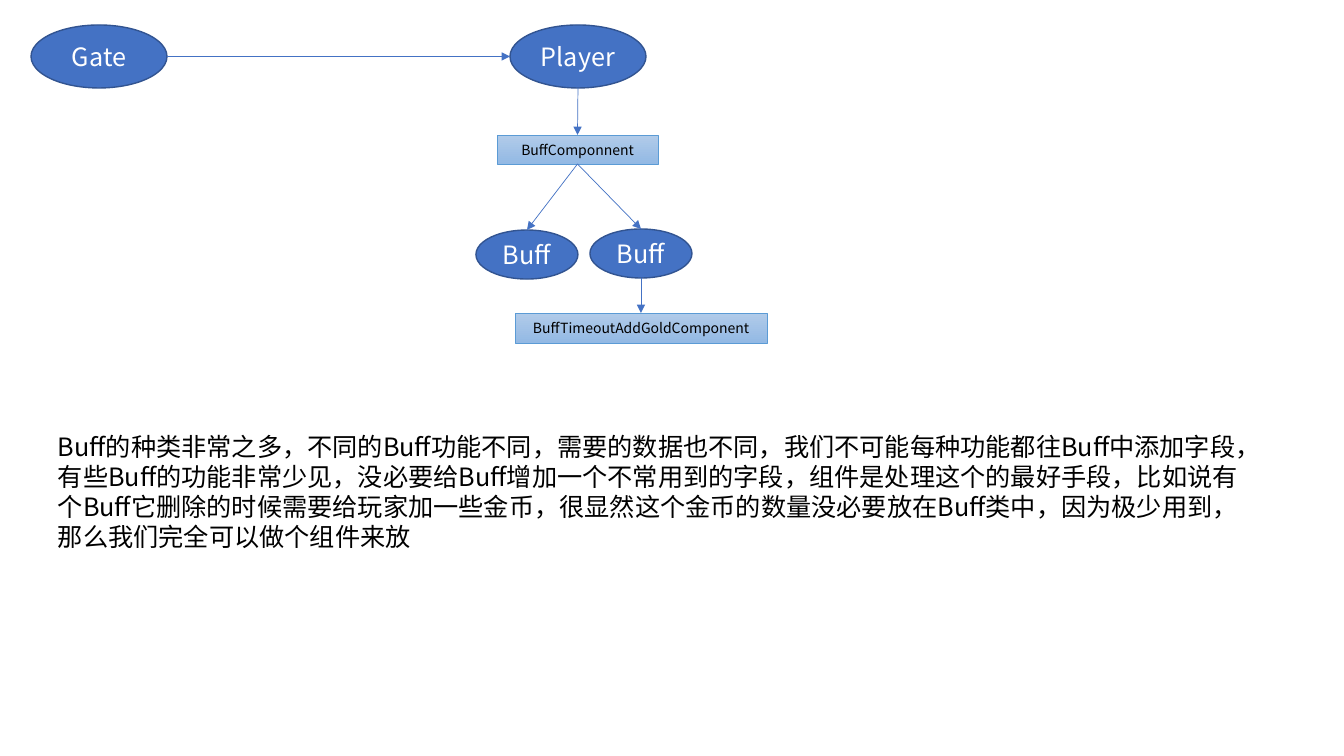
from dataclasses import dataclass

from lxml.etree import SubElement
from pptx import Presentation
from pptx.dml.color import RGBColor as Rgb
from pptx.enum.shapes import MSO_CONNECTOR as Link, MSO_SHAPE as Kind
from pptx.enum.text import MSO_ANCHOR as Anchor, MSO_AUTO_SIZE as Fit, PP_ALIGN as Align
from pptx.oxml.ns import qn
from pptx.util import Pt

SCALE = 914400 / 100.8


@dataclass(frozen=True)
class Theme:
    font: str = "Noto Sans CJK SC"
    node: str = "4472C4"
    rim: str = "325491"
    top: str = "B1CBE9"
    base: str = "93B9E4"
    edge: str = "5B9BD5"
    light: str = "FFFFFF"
    dark: str = "000000"
    large: float = 18
    small: float = 10
    pitch: float = 21.6
    thick: float = 1
    thin: float = 0.5


THEME = Theme()

NOTE = (
    "Buff的种类非常之多，不同的Buff功能不同，需要的数据也不同，"
    "我们不可能每种功能都往Buff中添加字段，有些Buff的功能非常少见，"
    "没必要给Buff增加一个不常用到的字段，组件是处理这个的最好手段，"
    "比如说有个Buff它删除的时候需要给玩家加一些金币，"
    "很显然这个金币的数量没必要放在Buff类中，因为极少用到，"
    "那么我们完全可以做个组件来放"
)


def px(*nums):
    return [round(num * SCALE) for num in nums]


def write(frame, text, size, color, align):
    frame.word_wrap = True
    para = frame.paragraphs[0]
    para.text = text
    para.alignment = align
    font = para.font
    font.size = Pt(size)
    font.color.rgb = Rgb.from_string(color)
    font.name = THEME.font
    props = para._p.pPr.find(qn("a:defRPr"))
    SubElement(props, qn("a:ea"), typeface=THEME.font)
    return para


def stroke(line, color, width):
    line.color.rgb = Rgb.from_string(color)
    line.width = Pt(width)


def add_box(slide, kind, area, text, size, color):
    box = slide.shapes.add_shape(kind, *px(*area))
    box.shadow.inherit = False
    box.text_frame.vertical_anchor = Anchor.MIDDLE
    write(box.text_frame, text, size, color, Align.CENTER)
    return box


def add_node(slide, text, *area):
    node = add_box(slide, Kind.OVAL, area, text, THEME.large, THEME.light)
    node.fill.solid()
    node.fill.fore_color.rgb = Rgb.from_string(THEME.node)
    stroke(node.line, THEME.rim, THEME.thick)
    return node


def add_part(slide, text, *area):
    part = add_box(slide, Kind.RECTANGLE, area, text, THEME.small, THEME.dark)
    part.fill.gradient()
    part.fill.gradient_angle = 270
    for stop, color in zip(part.fill.gradient_stops, (THEME.top, THEME.base)):
        stop.color.rgb = Rgb.from_string(color)
    stroke(part.line, THEME.edge, THEME.thin)
    return part


def spot(shape, across, down):
    return (
        round(shape.left + shape.width * across),
        round(shape.top + shape.height * down),
    )


def add_arrow(slide, start, end):
    arrow = slide.shapes.add_connector(Link.STRAIGHT, *start, *end)
    stroke(arrow.line, THEME.node, THEME.thin)
    SubElement(arrow.line._get_or_add_ln(), qn("a:tailEnd"), type="triangle")
    SubElement(arrow._element.spPr, qn("a:effectLst"))


def add_down(slide, upper, lower):
    add_arrow(slide, spot(upper, 0.5, 1), spot(lower, 0.5, 0))


def add_note(slide, text, *area):
    note = slide.shapes.add_textbox(*px(*area))
    para = write(note.text_frame, text, THEME.large, THEME.dark, Align.LEFT)
    para.line_spacing = Pt(THEME.pitch)
    note.text_frame.auto_size = Fit.SHAPE_TO_FIT_TEXT


def main():
    deck = Presentation()
    deck.slide_width, deck.slide_height = px(1344, 756)
    slide = deck.slides.add_slide(deck.slide_layouts[6])

    gate = add_node(slide, "Gate", 31, 25, 136, 63)
    player = add_node(slide, "Player", 510, 25, 136, 63)
    holder = add_part(slide, "BuffComponnent", 497, 135, 161, 29)
    left = add_node(slide, "Buff", 476, 230, 102, 49)
    right = add_node(slide, "Buff", 590, 229, 102, 49)
    gold = add_part(slide, "BuffTimeoutAddGoldComponent", 515, 313, 252, 30)

    add_arrow(slide, spot(gate, 1, 0.5), spot(player, 0, 0.5))
    for upper, lower in (
        (player, holder),
        (holder, left),
        (holder, right),
        (right, gold),
    ):
        add_down(slide, upper, lower)

    add_note(slide, NOTE, 48, 426, 1220, 132)
    deck.save("out.pptx")


main()
